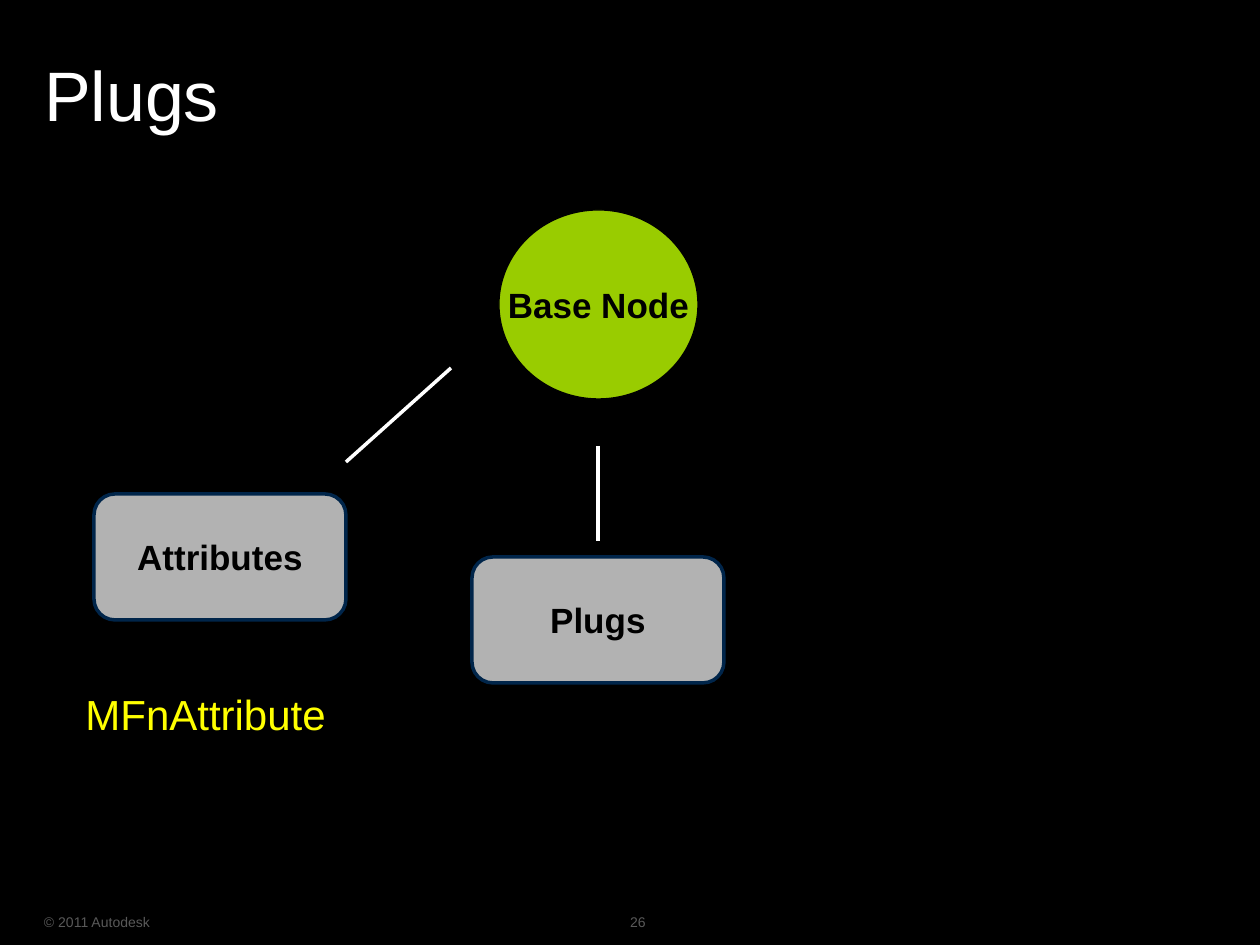
from lxml import etree
from pptx import Presentation
from pptx.dml.color import RGBColor
from pptx.enum.shapes import MSO_CONNECTOR, MSO_SHAPE
from pptx.enum.text import MSO_ANCHOR, MSO_AUTO_SIZE, PP_ALIGN
from pptx.oxml.ns import qn
from pptx.util import Emu, Pt

EMU_PER_PX = 914400 / 126
NO_MARGINS = dict.fromkeys(
    ("margin_left", "margin_top", "margin_right", "margin_bottom"), 0)
MIDDLE = {"vertical_anchor": MSO_ANCHOR.MIDDLE, "auto_size": MSO_AUTO_SIZE.NONE}


def px(length):
    return Emu(round(length * EMU_PER_PX))


def px_all(lengths):
    return [px(length) for length in lengths]


def rgb(hex_color):
    return RGBColor.from_string(hex_color)


def set_all(target, values):
    for name, value in values.items():
        setattr(target, name, value)


def write(shape, text, size, color, bold=False, align=PP_ALIGN.LEFT, **frame_format):
    frame = shape.text_frame
    set_all(frame, {"word_wrap": True, **frame_format})
    paragraph = frame.paragraphs[0]
    paragraph.alignment = align
    run = paragraph.add_run()
    run.text = text
    set_all(run.font, {"name": "Arial", "size": Pt(size), "bold": bold})
    run.font.color.rgb = rgb(color)
    return paragraph


def add_node(slide, preset, box, text, fill, line, line_width, wrap=True):
    node = slide.shapes.add_shape(preset, *px_all(box))
    node.shadow.inherit = False
    node.fill.solid()
    node.fill.fore_color.rgb = rgb(fill)
    node.line.color.rgb = rgb(line)
    node.line.width = Pt(line_width)
    write(node, text, 20, "000000", True, PP_ALIGN.CENTER, word_wrap=wrap, **MIDDLE)


def add_link(slide, start, end):
    link = slide.shapes.add_connector(
        MSO_CONNECTOR.STRAIGHT, *px_all(start), *px_all(end))
    link.line.color.rgb = rgb("FFFFFF")
    link.line.width = Pt(2)
    etree.SubElement(link._element.spPr, qn("a:effectLst"))


def place_title(slide, left, top, width, height):
    title = slide.shapes.title
    set_all(title, dict(zip(("left", "top", "width", "height"),
                            px_all((left, top, width, height)))))
    paragraph = write(title, "Plugs", 40, "FFFFFF", **NO_MARGINS, **MIDDLE)
    paragraph.line_spacing = 0.95


def add_diagram(slide, left, top):
    add_node(slide, MSO_SHAPE.OVAL, (left + 426, top, 199, 189),
             "Base Node", "99CC00", "000000", 0.75, wrap=False)
    for text, x, y in (("Attributes", 21, 284), ("Plugs", 399, 347)):
        add_node(slide, MSO_SHAPE.ROUNDED_RECTANGLE, (left + x, top + y, 252, 126),
                 text, "B2B2B2", "00254A", 2)
    for x1, y1, x2, y2 in ((378, 158, 273, 252), (525, 236, 525, 331)):
        add_link(slide, (left + x1, top + y1), (left + x2, top + y2))
    class_label = slide.shapes.add_textbox(*px_all((left, top + 472, 294, 63)))
    write(class_label, "MFnAttribute", 24, "FFFF00",
          auto_size=MSO_AUTO_SIZE.SHAPE_TO_FIT_TEXT)


def add_footer(slide, left, top, height):
    for text, x, width in (("© 2011 Autodesk", 0, 305), ("26", 586, 42)):
        label = slide.shapes.add_textbox(*px_all((left + x, top, width, height)))
        write(label, text, 8, "595959", **NO_MARGINS, **MIDDLE)


def main():
    presentation = Presentation()
    presentation.slide_width, presentation.slide_height = px(1260), px(945)
    slide = presentation.slides.add_slide(presentation.slide_layouts[5])
    slide.background.fill.solid()
    slide.background.fill.fore_color.rgb = rgb("000000")
    place_title(slide, 44, 19, 1131, 158)
    add_diagram(slide, 73, 210)
    add_footer(slide, 44, 906, 32)
    presentation.save("out.pptx")


if __name__ == "__main__":
    main()
